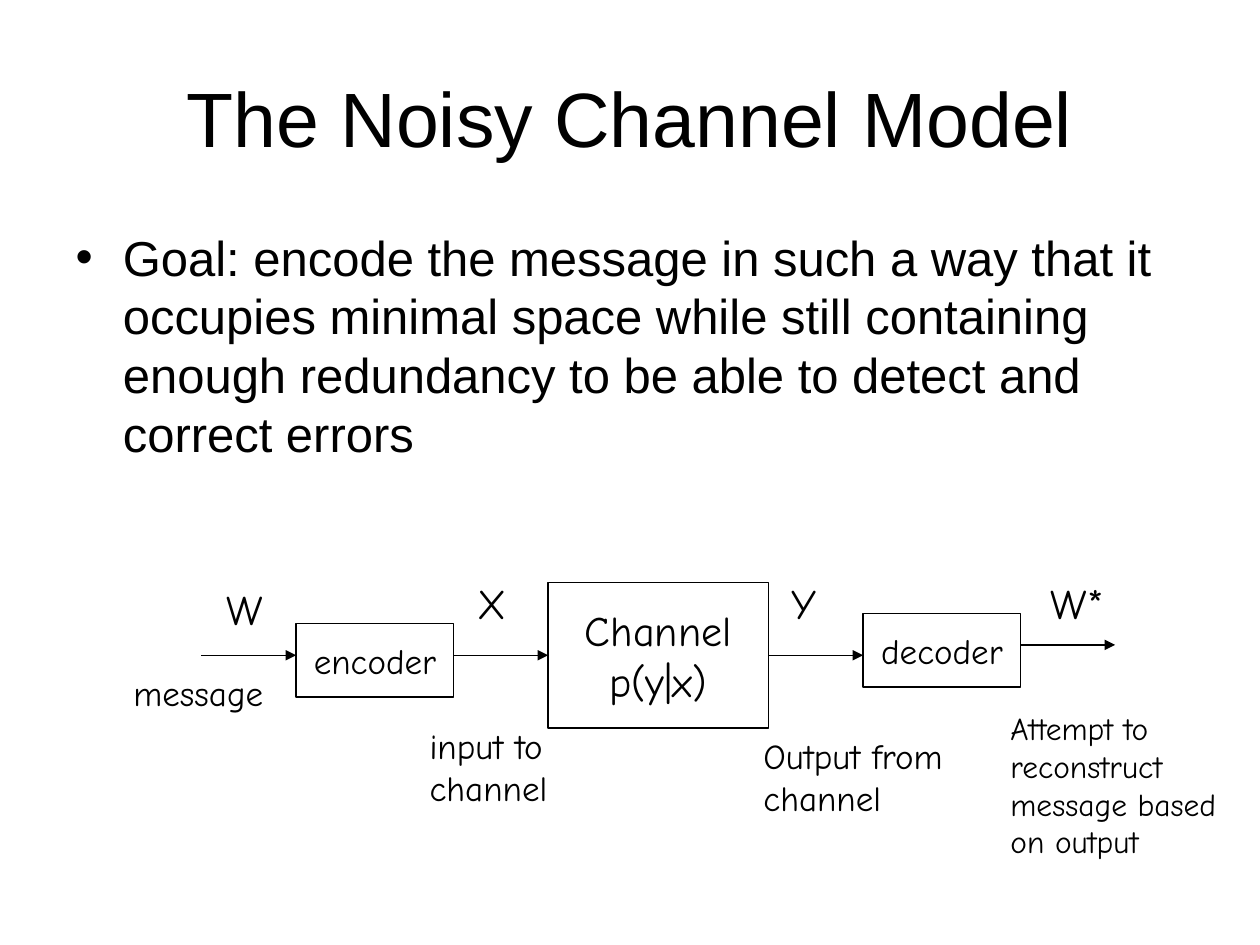
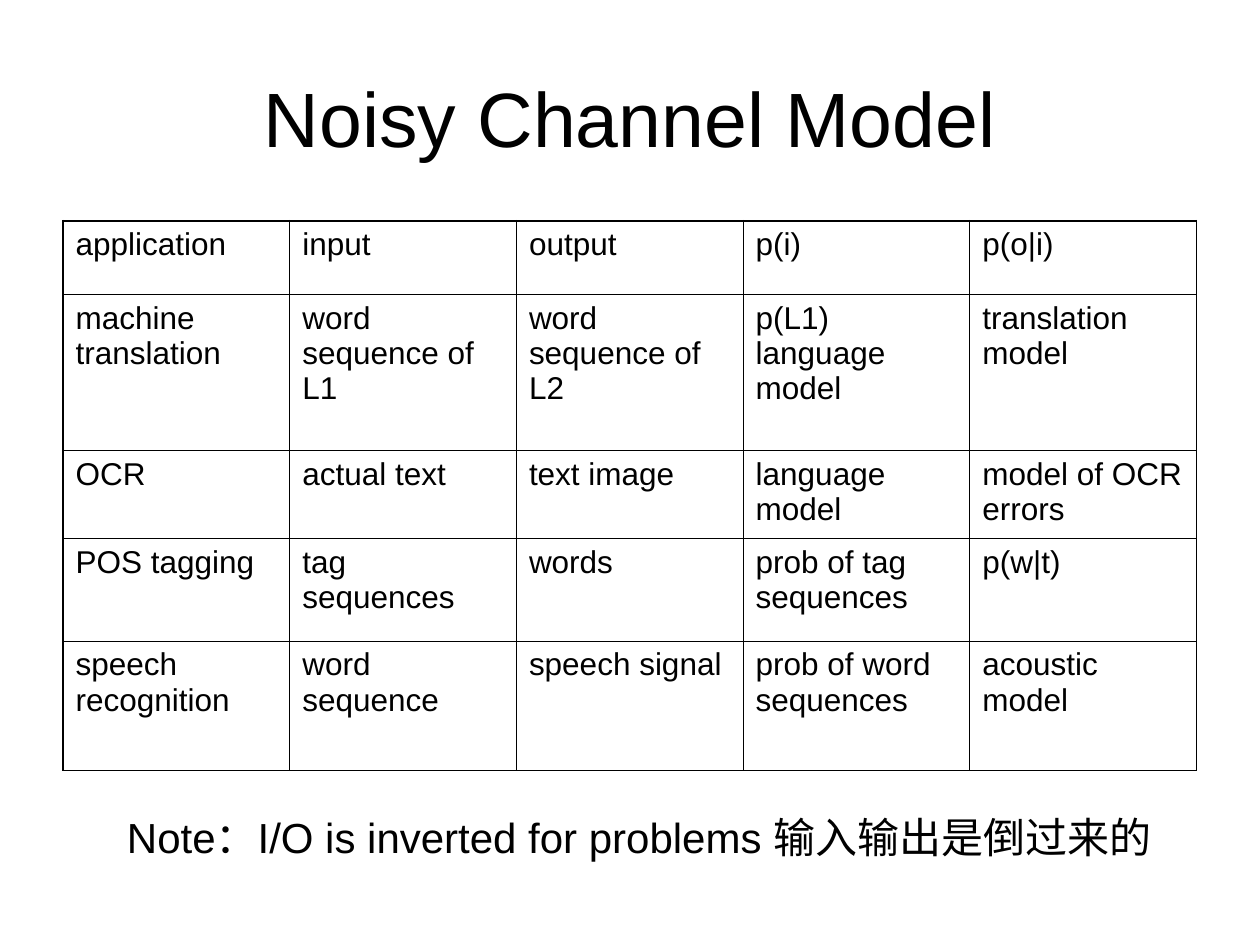
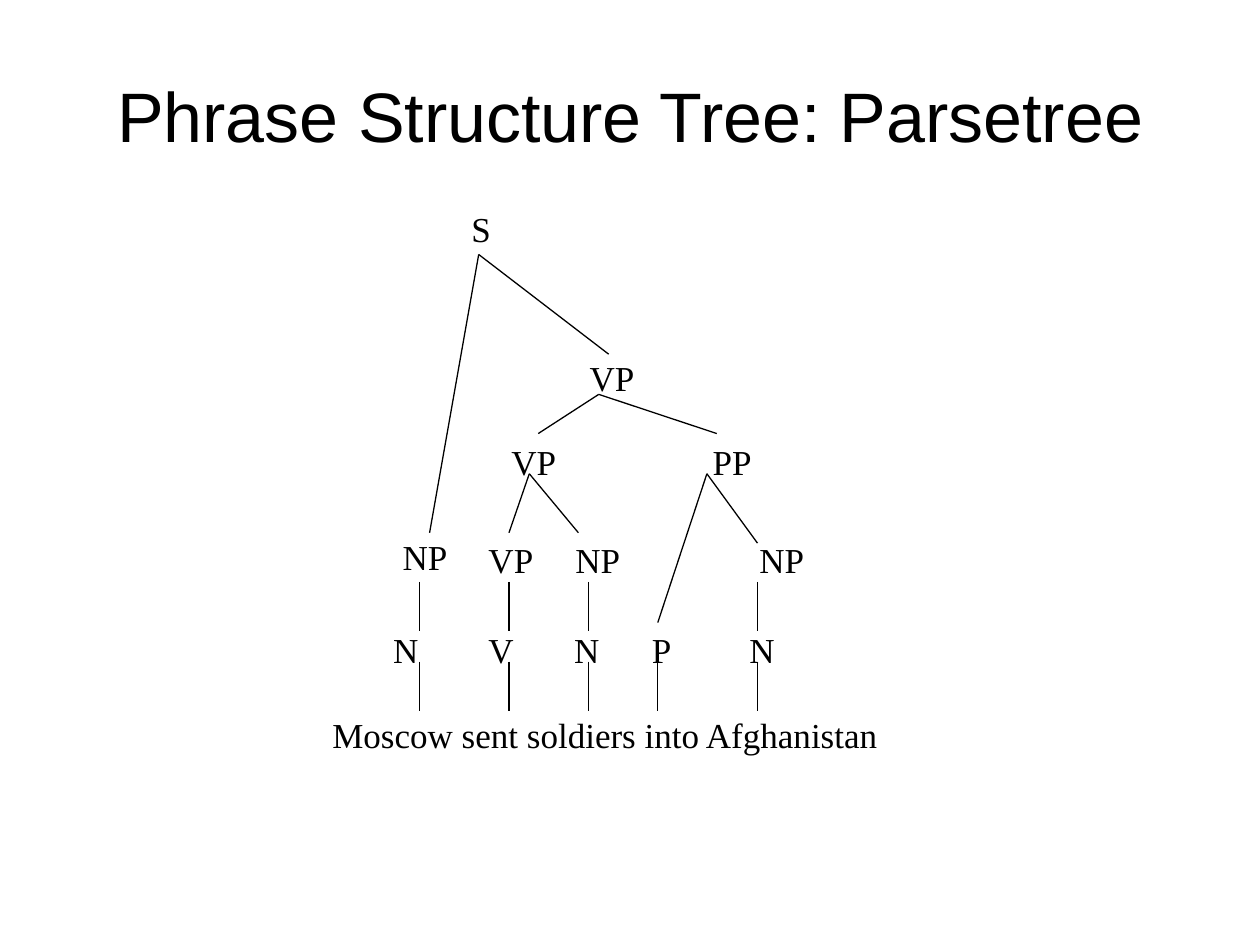
import pptx
import pptx.dml.color
import pptx.enum.shapes
import pptx.enum.text
import pptx.oxml
import pptx.oxml.ns
import pptx.util

Cm = pptx.util.Cm
Pt = pptx.util.Pt
ALIGN = pptx.enum.text.PP_ALIGN
ANCHOR = pptx.enum.text.MSO_ANCHOR

# Shared look
BLACK, WHITE = "000000", "FFFFFF"
SANS, HAND, SERIF = "Arial", "Comic Neue", "Times New Roman"
LINE_WIDTH = 0.75
TITLE_BOX = (1.27, 0.76, 22.86, 3.18)

# Slide 1: channel diagram, lengths in cm
GOAL = ("Goal: encode the message in such a way that it occupies minimal space while "
        "still containing enough redundancy to be able to detect and correct errors")
GOAL_BOX = (1.27, 4.45, 22.86, 12.57)
STAGES = {
    "encoder": ((5.97, 12.57, 3.18, 1.48), 20),
    "Channel\np(y|x)": ((11.05, 11.74, 4.44, 2.94), 24),
    "decoder": ((17.4, 12.37, 3.18, 1.48), 20),
}
CHANNEL = "Channel\np(y|x)"
# start x, y, length, stage joined at the start, stage joined at the end
ARROW_LENGTH = 1.91
ARROWS = [
    (4.06, 13.21, None, None),
    (9.14, 13.21, None, CHANNEL),
    (15.49, 13.21, CHANNEL, None),
    (20.57, 13.0, None, None),
]
SIGNALS = [
    ("W", (4.32, 11.63, 1.5, 1.27), 24),
    ("X", (9.37, 11.51, 1.5, 1.27), 24),
    ("Y", (15.7, 11.51, 1.5, 1.27), 24),
    ("W*", (20.93, 11.51, 1.8, 1.27), 24),
    ("message", (2.44, 13.41, 3.3, 1.12), 20),
    ("input to\nchannel", (8.41, 14.48, 3.2, 1.96), 20),
    ("Output from\nchannel", (15.14, 14.68, 4.4, 1.96), 20),
    ("Attempt to\nreconstruct\nmessage based\non output", (20.12, 14.17, 4.8, 3.3), 18),
]

# Slide 2: applications table
APPLICATIONS = [
    ("application", "input", "output", "p(i)", "p(o|i)"),
    ("machine translation", "word sequence of L1", "word sequence of L2",
     "p(L1) language model", "translation model"),
    ("OCR", "actual text", "text image", "language model", "model of OCR errors"),
    ("POS tagging", "tag sequences", "words", "prob of tag sequences", "p(w|t)"),
    ("speech recognition", "word sequence", "speech signal",
     "prob of word sequences", "acoustic model"),
]
COLUMN_WIDTH = 4.57
ROW_HEIGHTS = [1.48, 3.15, 1.78, 2.06, 2.61]
INNER_BORDER, OUTER_BORDER = 0.45, 1.08
NOTE = "Note：I/O is inverted for problems 输入输出是倒过来的"

# Slide 3: parse tree, label centres and tops in cm
SENTENCE = "Moscow sent soldiers into Afghanistan"
NODE_ROWS = [
    (4.06, [("S", 9.7)]),
    (7.06, [("VP", 12.34)]),
    (8.76, [("VP", 10.76), ("PP", 14.76)]),
    (10.67, [("NP", 8.57)]),
    (10.74, [("VP", 10.3), ("NP", 12.05), ("NP", 15.76)]),
    (12.55, [("N", 8.18), ("V", 10.1), ("N", 11.83), ("P", 13.34), ("N", 15.36)]),
]
NODE_WIDTH, NODE_HEIGHT = 1.6, 1.12
BRANCHES = {
    (9.65, 5.13): [(8.66, 10.74), (12.27, 7.14)],
    (12.07, 7.95): [(10.85, 8.74), (14.45, 8.74)],
    (10.67, 9.55): [(10.26, 10.74), (11.66, 10.74)],
    (14.25, 9.55): [(13.26, 12.55), (15.27, 10.95)],
}
PHRASE_STEMS = (11.73, 12.73, [8.46, 10.26, 11.86, 15.27])
WORD_STEMS = (13.34, 14.33, [8.46, 10.26, 11.86, 13.26, 15.27])


def color(value):
    return pptx.dml.color.RGBColor.from_string(value)


def write(frame, text, size, face, **paragraph_format):
    """Fill a text frame and give every paragraph the same format."""
    frame.text = text
    frame.word_wrap = True
    for paragraph in frame.paragraphs:
        for key, value in paragraph_format.items():
            setattr(paragraph, key, value)
        for run in paragraph.runs:
            for key, value in {"size": Pt(size), "name": face}.items():
                setattr(run.font, key, value)
            run.font.color.rgb = color(BLACK)


def place(shape, box):
    for key, value in zip(("left", "top", "width", "height"), box):
        setattr(shape, key, Cm(value))


def add_slide(deck, layout, title, size=44, box=TITLE_BOX):
    slide = deck.slides.add_slide(deck.slide_layouts.get_by_name(layout))
    place(slide.shapes.title, box)
    write(slide.shapes.title.text_frame, title, size, SANS, alignment=ALIGN.CENTER)
    slide.shapes.title.text_frame.vertical_anchor = ANCHOR.MIDDLE
    return slide


def add_label(slide, text, box, size, face, align=ALIGN.LEFT):
    label = slide.shapes.add_textbox(*map(Cm, box))
    write(label.text_frame, text, size, face, alignment=align)


def add_line(slide, start, end, arrow=False):
    line = slide.shapes.add_connector(
        pptx.enum.shapes.MSO_CONNECTOR.STRAIGHT, *map(Cm, (*start, *end)))
    line.line.color.rgb = color(BLACK)
    line.line.width = Pt(LINE_WIDTH)
    if arrow:
        pptx.oxml.ns.qn("a:tailEnd")
        line.line._get_or_add_ln().append(pptx.oxml.parse_xml(
            f'<a:tailEnd {pptx.oxml.ns.nsdecls("a")} type="triangle"/>'))
    line._element.spPr.append(pptx.oxml.parse_xml(
        f'<a:effectLst {pptx.oxml.ns.nsdecls("a")}/>'))
    return line


def add_stage(slide, text, box, size):
    stage = slide.shapes.add_shape(
        pptx.enum.shapes.MSO_SHAPE.RECTANGLE, *map(Cm, box))
    stage.shadow.inherit = False
    stage.fill.solid()
    stage.fill.fore_color.rgb = color(WHITE)
    stage.line.color.rgb = color(BLACK)
    stage.line.width = Pt(LINE_WIDTH)
    write(stage.text_frame, text, size, HAND, alignment=ALIGN.CENTER)
    stage.text_frame.vertical_anchor = ANCHOR.MIDDLE
    return stage


def set_borders(cell, widths):
    """Draw the left, right, top and bottom borders, in schema order."""
    properties = cell._tc.get_or_add_tcPr()
    for position, (side, width) in enumerate(widths.items()):
        properties.insert(position, pptx.oxml.parse_xml(
            f'<a:ln{side} {pptx.oxml.ns.nsdecls("a")} w="{Pt(width)}">'
            f'<a:solidFill><a:srgbClr val="{BLACK}"/></a:solidFill></a:ln{side}>'))


def build_channel(deck):
    slide = add_slide(deck, "Title and Content", "The Noisy Channel Model")
    goal = slide.placeholders[1]
    place(goal, GOAL_BOX)
    write(goal.text_frame, GOAL, 28, SANS, space_before=Pt(7))

    # Boxes, arrows between them, and their labels
    stages = {text: add_stage(slide, text, *look) for text, look in STAGES.items()}
    for x, y, source, target in ARROWS:
        arrow = add_line(slide, (x, y), (x + ARROW_LENGTH, y), arrow=True)
        if source:
            arrow.begin_connect(stages[source], 3)
        if target:
            arrow.end_connect(stages[target], 1)
    for text, box, size in SIGNALS:
        add_label(slide, text, box, size, HAND)


def build_applications(deck):
    slide = add_slide(deck, "Title Only", "Noisy Channel Model")
    rows, columns = len(APPLICATIONS), len(APPLICATIONS[0])
    table = slide.shapes.add_table(
        rows, columns, Cm(1.27), Cm(4.45),
        Cm(columns * COLUMN_WIDTH), Cm(sum(ROW_HEIGHTS))).table
    table.first_row = table.horz_banding = False
    for column in table.columns:
        column.width = Cm(COLUMN_WIDTH)
    for r, (texts, height) in enumerate(zip(APPLICATIONS, ROW_HEIGHTS)):
        table.rows[r].height = Cm(height)
        for c, text in enumerate(texts):
            cell = table.cell(r, c)
            cell.fill.background()
            write(cell.text_frame, text, 18, SANS, space_before=Pt(4.5))
            on_edge = {"L": c == 0, "R": c == columns - 1, "T": r == 0, "B": r == rows - 1}
            set_borders(cell, {side: OUTER_BORDER if edge else INNER_BORDER
                               for side, edge in on_edge.items()})
    add_label(slide, NOTE, (2.31, 16.23, 22.2, 1.27), 24, SANS)


def build_tree(deck):
    slide = add_slide(deck, "Title Only", "Phrase Structure Tree: Parsetree", 40,
                      (1.91, 0.71, 21.59, 3.18))
    # Node labels and the sentence
    for top, nodes in NODE_ROWS:
        for text, centre in nodes:
            box = (centre - NODE_WIDTH / 2, top, NODE_WIDTH, NODE_HEIGHT)
            add_label(slide, text, box, 20, SERIF, ALIGN.CENTER)
    add_label(slide, SENTENCE, (6.45, 14.25, 12.65, 1.12), 20, SERIF)

    # Branches and vertical stems
    for parent, children in BRANCHES.items():
        for child in children:
            add_line(slide, parent, child)
    for top, bottom, stems in (PHRASE_STEMS, WORD_STEMS):
        for x in stems:
            add_line(slide, (x, top), (x, bottom))


def main():
    deck = pptx.Presentation()
    deck.slide_width, deck.slide_height = Cm(25.4), Cm(19.05)
    build_channel(deck)
    build_applications(deck)
    build_tree(deck)
    deck.save("out.pptx")


if __name__ == "__main__":
    main()
